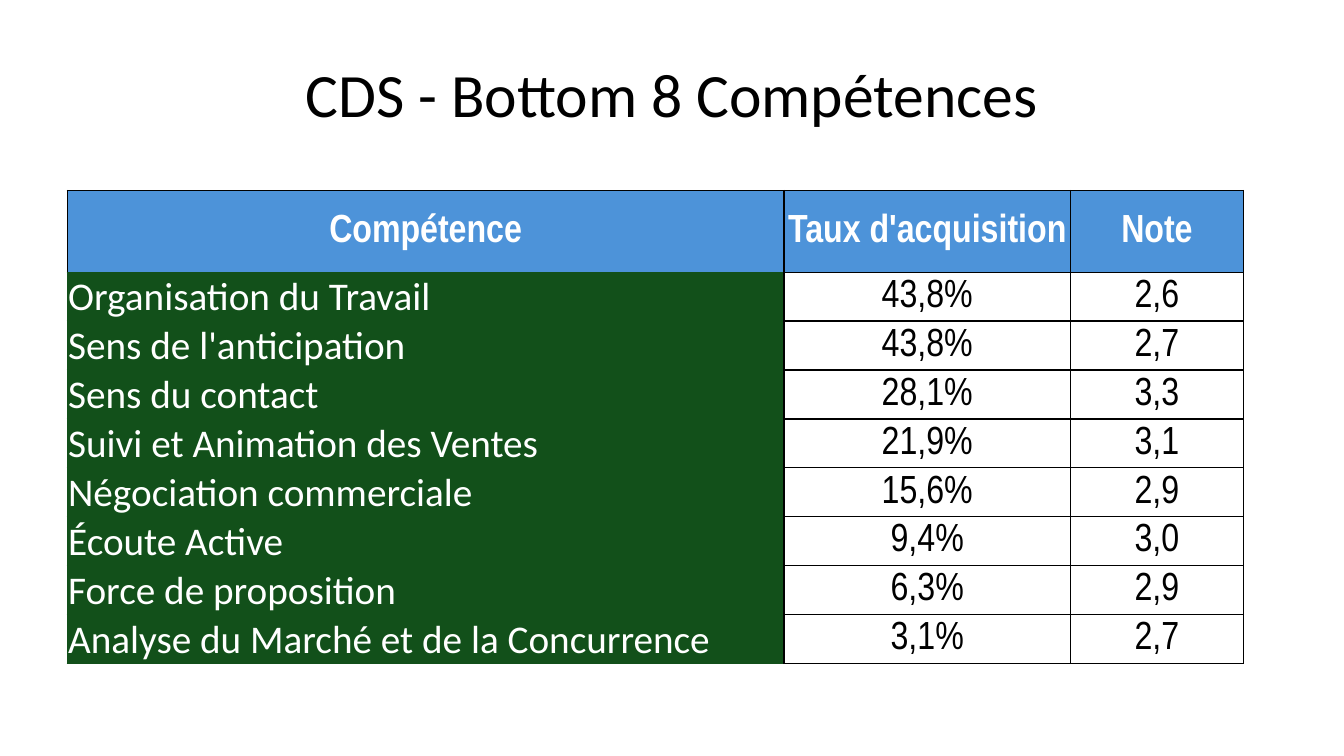
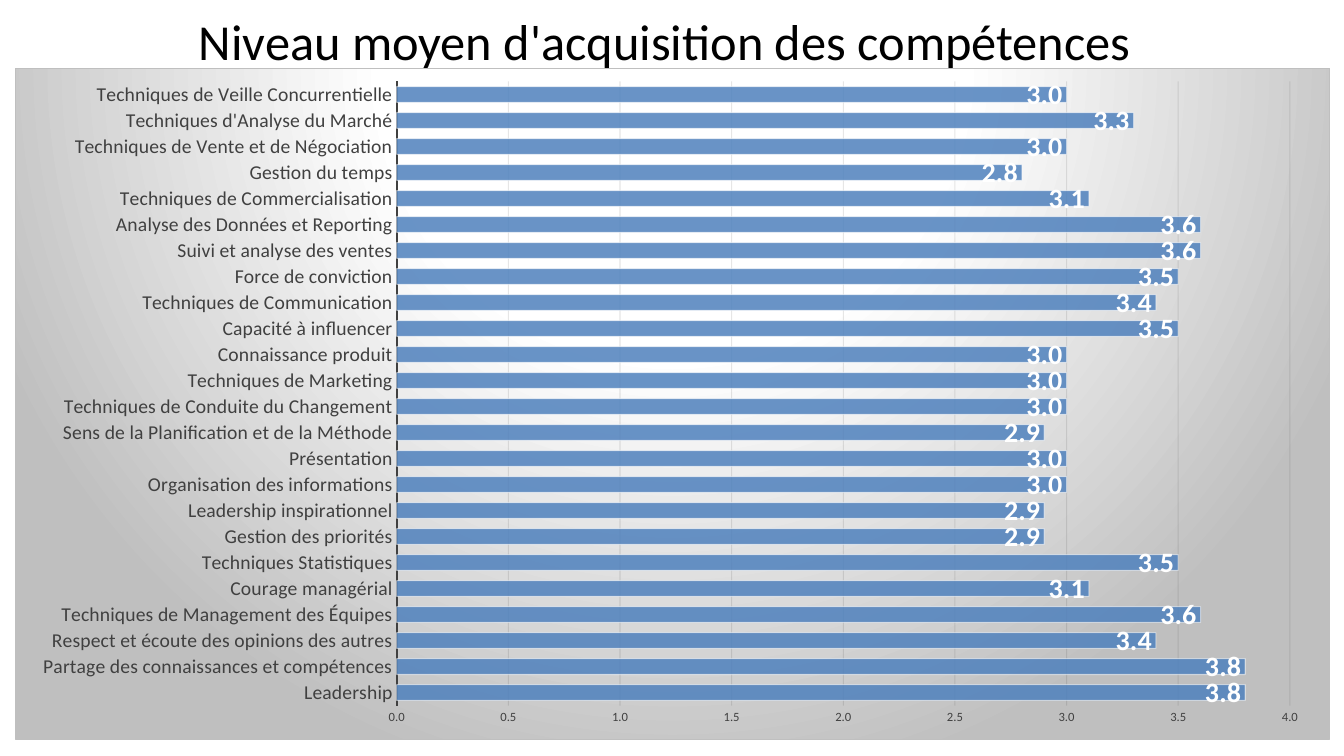
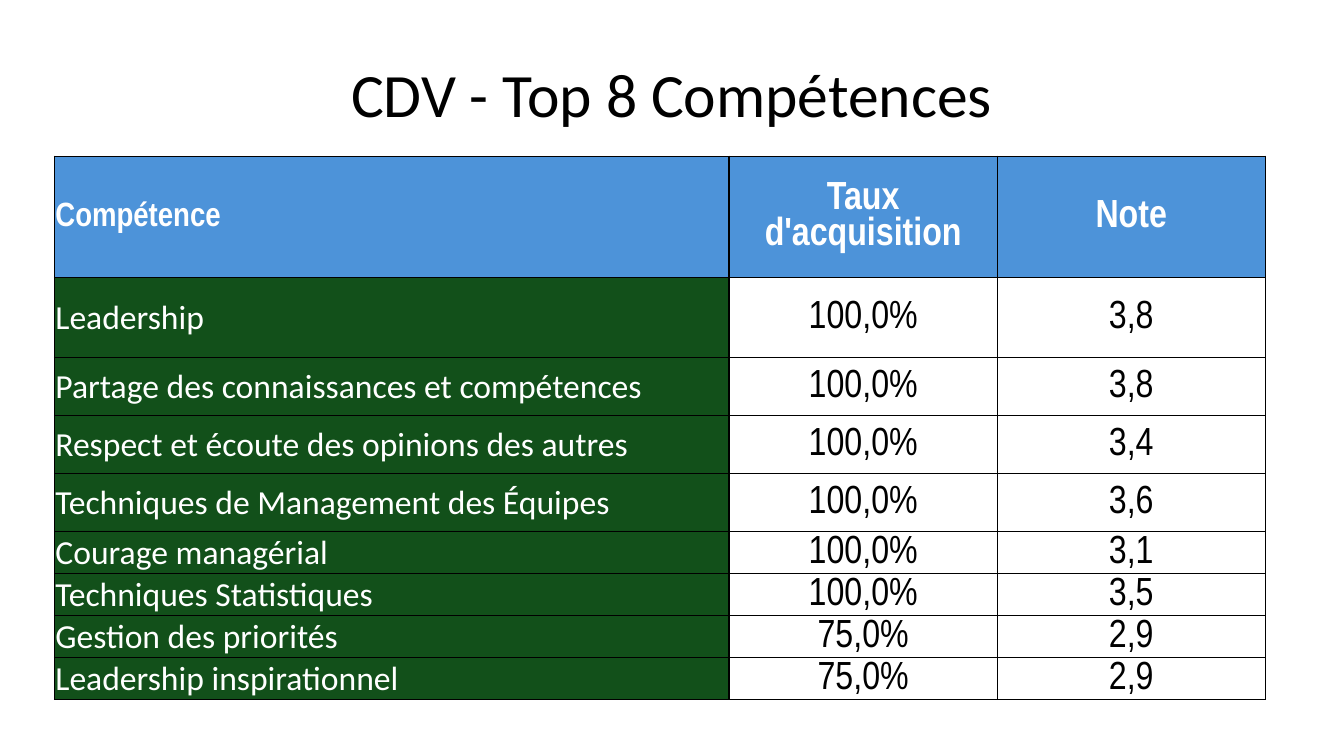
from lxml import etree
from pptx import Presentation, util as u
from pptx.chart.data import CategoryChartData
from pptx.dml.color import RGBColor
from pptx.enum import chart as ch, text
from pptx.oxml import parse_xml
from pptx.oxml.ns import nsdecls, qn

SLIDE_W, SLIDE_H = u.Inches(13.33), u.Inches(7.5)
BLACK = RGBColor(0x00, 0x00, 0x00)
WHITE = RGBColor(0xFF, 0xFF, 0xFF)
BLUE = RGBColor(0x4D, 0x93, 0xD9)
GREEN = RGBColor(0x12, 0x50, 0x1A)
BAR_BLUE = RGBColor(0x4F, 0x81, 0xBD)
AXIS_GREY = RGBColor(0x40, 0x40, 0x40)
GRID_GREY = RGBColor(0x0D, 0x0D, 0x0D)
EDGE_GREY = RGBColor(0xBF, 0xBF, 0xBF)
BODY_FONT, NARROW_FONT = "Calibri", "Arial Narrow"
LEFT, CENTER = text.PP_ALIGN.LEFT, text.PP_ALIGN.CENTER
MIDDLE, BOTTOM = text.MSO_ANCHOR.MIDDLE, text.MSO_ANCHOR.BOTTOM
TITLE_BOX = (5, 4, 90, 16.67)
CELL_INSETS = {"margin_left": u.Inches(0.01), "margin_right": u.Inches(0.01),
               "margin_top": u.Inches(0.01), "margin_bottom": 0}

BOTTOM_SKILLS = [
    ("Organisation du Travail", "43,8%", "2,6"),
    ("Sens de l'anticipation", "43,8%", "2,7"),
    ("Sens du contact", "28,1%", "3,3"),
    ("Suivi et Animation des Ventes", "21,9%", "3,1"),
    ("Négociation commerciale", "15,6%", "2,9"),
    ("Écoute Active", "9,4%", "3,0"),
    ("Force de proposition", "6,3%", "2,9"),
    ("Analyse du Marché et de la Concurrence", "3,1%", "2,7"),
]
TOP_SKILLS = [
    ("Leadership", "100,0%", "3,8"),
    ("Partage des connaissances et compétences", "100,0%", "3,8"),
    ("Respect et écoute des opinions des autres", "100,0%", "3,4"),
    ("Techniques de Management des Équipes", "100,0%", "3,6"),
    ("Courage managérial", "100,0%", "3,1"),
    ("Techniques Statistiques", "100,0%", "3,5"),
    ("Gestion des priorités", "75,0%", "2,9"),
    ("Leadership inspirationnel", "75,0%", "2,9"),
]
SKILL_LEVELS = {
    "Leadership": 3.8,
    "Partage des connaissances et compétences": 3.8,
    "Respect et écoute des opinions des autres": 3.4,
    "Techniques de Management des Équipes": 3.6,
    "Courage managérial": 3.1,
    "Techniques Statistiques": 3.5,
    "Gestion des priorités": 2.9,
    "Leadership inspirationnel": 2.9,
    "Organisation des informations": 3.0,
    "Présentation": 3.0,
    "Sens de la Planification et de la Méthode": 2.9,
    "Techniques de Conduite du Changement": 3.0,
    "Techniques de Marketing": 3.0,
    "Connaissance produit": 3.0,
    "Capacité à influencer": 3.5,
    "Techniques de Communication": 3.4,
    "Force de conviction": 3.5,
    "Suivi et analyse des ventes": 3.6,
    "Analyse des Données et Reporting": 3.6,
    "Techniques de Commercialisation": 3.1,
    "Gestion du temps": 2.8,
    "Techniques de Vente et de Négociation": 3.0,
    "Techniques d'Analyse du Marché": 3.3,
    "Techniques de Veille Concurrentielle": 3.0,
}


def across(percent):
    return round(SLIDE_W * percent / 100)


def down(percent):
    return round(SLIDE_H * percent / 100)


def box(left, top, width, height):
    """Turn percentages of the slide into a position and size."""
    return across(left), down(top), across(width), down(height)


def set_values(target, values):
    for name, value in values.items():
        setattr(target, name, value)


def style_font(font, size, color, name=BODY_FONT, bold=False):
    set_values(font, {"size": u.Pt(size), "name": name, "bold": bold})
    font.color.rgb = color


def style_line(line, color, width):
    line.color.rgb = color
    line.width = u.Pt(width)


def add_titled_slide(prs, title, place=TITLE_BOX, size=44):
    slide = prs.slides.add_slide(prs.slide_layouts[5])
    heading = slide.shapes.title
    set_values(heading, dict(zip(("left", "top", "width", "height"), box(*place))))
    heading.text_frame.text = title
    heading.text_frame.vertical_anchor = MIDDLE
    paragraph = heading.text_frame.paragraphs[0]
    paragraph.alignment = CENTER
    style_font(paragraph.font, size, BLACK)
    return slide


def set_borders(cell, **colors):
    """Draw 1 pt borders, black unless a side (L, R, T, B) has its own colour."""
    properties = cell._tc.get_or_add_tcPr()
    for side in "LRTB":
        line = etree.SubElement(properties, qn(f"a:ln{side}"), w=str(u.Pt(1)))
        fill = etree.SubElement(line, qn("a:solidFill"))
        etree.SubElement(fill, qn("a:srgbClr"), val=str(colors.get(side, BLACK)))


def fill_cell(cell, content, fill, align, anchor, font):
    set_values(cell, CELL_INSETS)
    cell.vertical_anchor = anchor
    if fill is None:
        cell.fill.background()
    else:
        cell.fill.solid()
        cell.fill.fore_color.rgb = fill
    cell.text = content
    paragraph = cell.text_frame.paragraphs[0]
    paragraph.alignment = align
    style_font(paragraph.font, **font)


def add_skill_table(slide, left, top, columns, heights, skills, name_size=28,
                    name_anchor=MIDDLE, header_align=CENTER, ruled_names=True):
    """Table of skills; ruled_names draws black rules between the skill names."""
    rows = [("Compétence", "Taux d'acquisition", "Note"), *skills]
    place = box(left, top, sum(columns), sum(heights))
    table = slide.shapes.add_table(len(rows), len(columns), *place).table
    set_values(table, {"first_row": False, "horz_banding": False})
    for column, width in zip(table.columns, columns):
        column.width = across(width)
    for row, height in zip(table.rows, heights):
        row.height = down(height)

    for r, row in enumerate(rows):
        for c, content in enumerate(row):
            cell = table.cell(r, c)
            is_name = c == 0
            size = name_size if is_name else 28
            edges = {}
            if is_name and not ruled_names:
                edges = dict.fromkeys("LTB" if r else "B", GREEN)
            set_borders(cell, **edges)
            if r == 0:
                fill_cell(cell, content, BLUE, header_align if is_name else CENTER, MIDDLE,
                          dict(size=size, color=WHITE, name=NARROW_FONT, bold=True))
            elif is_name:
                fill_cell(cell, content, GREEN, LEFT, name_anchor,
                          dict(size=size, color=WHITE))
            else:
                fill_cell(cell, content, None, CENTER, MIDDLE,
                          dict(size=size, color=BLACK, name=NARROW_FONT))


def set_opacity(chart, query, percent):
    for color in chart.element.xpath(query):
        etree.SubElement(color, qn("a:alpha"), val=str(percent * 1000))


def set_chart_background(chart):
    stops = "".join(f'<a:gs pos="{pos * 1000}"><a:srgbClr val="{color}"/></a:gs>'
                    for pos, color in ((0, WHITE), (39, WHITE), (100, EDGE_GREY)))
    chart.element.find(qn("c:chart")).addnext(parse_xml(
        f'<c:spPr {nsdecls("c", "a")}><a:gradFill><a:gsLst>{stops}</a:gsLst>'
        '<a:path path="circle"><a:fillToRect l="50000" t="-80000" r="50000" b="180000"/>'
        f'</a:path></a:gradFill><a:ln w="{u.Pt(0.75)}"><a:solidFill>'
        f'<a:srgbClr val="{EDGE_GREY}"/></a:solidFill></a:ln></c:spPr>'))


def set_plot_area(chart, **shares):
    """Fix the inner plot area, as shares of the chart's size."""
    plot_area = chart.element.xpath("c:chart/c:plotArea")[0]
    for layout in plot_area.findall(qn("c:layout")):
        plot_area.remove(layout)
    sizes = "".join(f'<c:{key} val="{value}"/>' for key, value in shares.items())
    plot_area.insert(0, parse_xml(
        f'<c:layout {nsdecls("c")}><c:manualLayout><c:layoutTarget val="inner"/>'
        f'<c:xMode val="edge"/><c:yMode val="edge"/>{sizes}</c:manualLayout></c:layout>'))


def style_axes(chart):
    for axis, size in ((chart.category_axis, 14), (chart.value_axis, 9)):
        set_values(axis, {"major_tick_mark": ch.XL_TICK_MARK.NONE,
                          "minor_tick_mark": ch.XL_TICK_MARK.NONE})
        style_font(axis.tick_labels.font, size, AXIS_GREY)
    style_line(chart.category_axis.format.line, AXIS_GREY, 1.5)
    levels = chart.value_axis
    set_values(levels, {"minimum_scale": 0, "maximum_scale": 4, "major_unit": 0.5})
    set_values(levels.tick_labels, {"number_format": "0.0", "number_format_is_linked": False})
    levels.format.line.fill.background()
    style_line(levels.major_gridlines.format.line, GRID_GREY, 0.75)
    set_opacity(chart, "c:chart//c:majorGridlines//a:srgbClr", 10)


def style_bars(chart):
    plot = chart.plots[0]
    set_values(plot, {"gap_width": 65, "vary_by_categories": False, "has_data_labels": True})
    bars = plot.series[0]
    bars.format.fill.solid()
    bars.format.fill.fore_color.rgb = BAR_BLUE
    style_line(bars.format.line, WHITE, 0.75)
    set_opacity(chart, "c:chart//c:ser/c:spPr/a:solidFill/a:srgbClr", 85)
    set_opacity(chart, "c:chart//c:ser/c:spPr/a:ln//a:srgbClr", 50)
    labels = plot.data_labels
    set_values(labels, {"show_value": True, "number_format": "0.0",
                        "number_format_is_linked": False,
                        "position": ch.XL_LABEL_POSITION.INSIDE_END})
    style_font(labels.font, 20, WHITE, bold=True)


def add_level_chart(slide, levels, place):
    data = CategoryChartData(number_format="0.0")
    data.categories = list(levels)
    data.add_series("Series 1", list(levels.values()))
    chart = slide.shapes.add_chart(ch.XL_CHART_TYPE.BAR_CLUSTERED, *box(*place), data).chart
    set_values(chart, {"has_title": False, "has_legend": False})
    style_font(chart.font, 10, BLACK)
    style_axes(chart)
    style_bars(chart)
    set_plot_area(chart, x=0.29, y=0.02, w=0.68, h=0.93)
    set_chart_background(chart)


def main():
    prs = Presentation()
    set_values(prs, {"slide_width": SLIDE_W, "slide_height": SLIDE_H})

    bottom = add_titled_slide(prs, "CDS - Bottom 8 Compétences")
    add_skill_table(bottom, 5, 25.2, (53.34, 21.3, 12.9), [10.8] + [5.5] * 8,
                    BOTTOM_SKILLS, name_anchor=BOTTOM, ruled_names=False)

    average = add_titled_slide(prs, "Niveau moyen d'acquisition des compétences",
                               (0, 0.27, 98.95, 10.27), 36)
    add_level_chart(average, SKILL_LEVELS, (1.13, 8.93, 97.82, 88.93))

    top = add_titled_slide(prs, "CDV - Top 8 Compétences")
    add_skill_table(top, 4.05, 20.67, (50.2, 19.95, 19.95),
                    [16, 10.67] + [7.66] * 3 + [5.52] * 4,
                    TOP_SKILLS, name_size=24, header_align=LEFT)

    prs.save("out.pptx")


if __name__ == "__main__":
    main()
